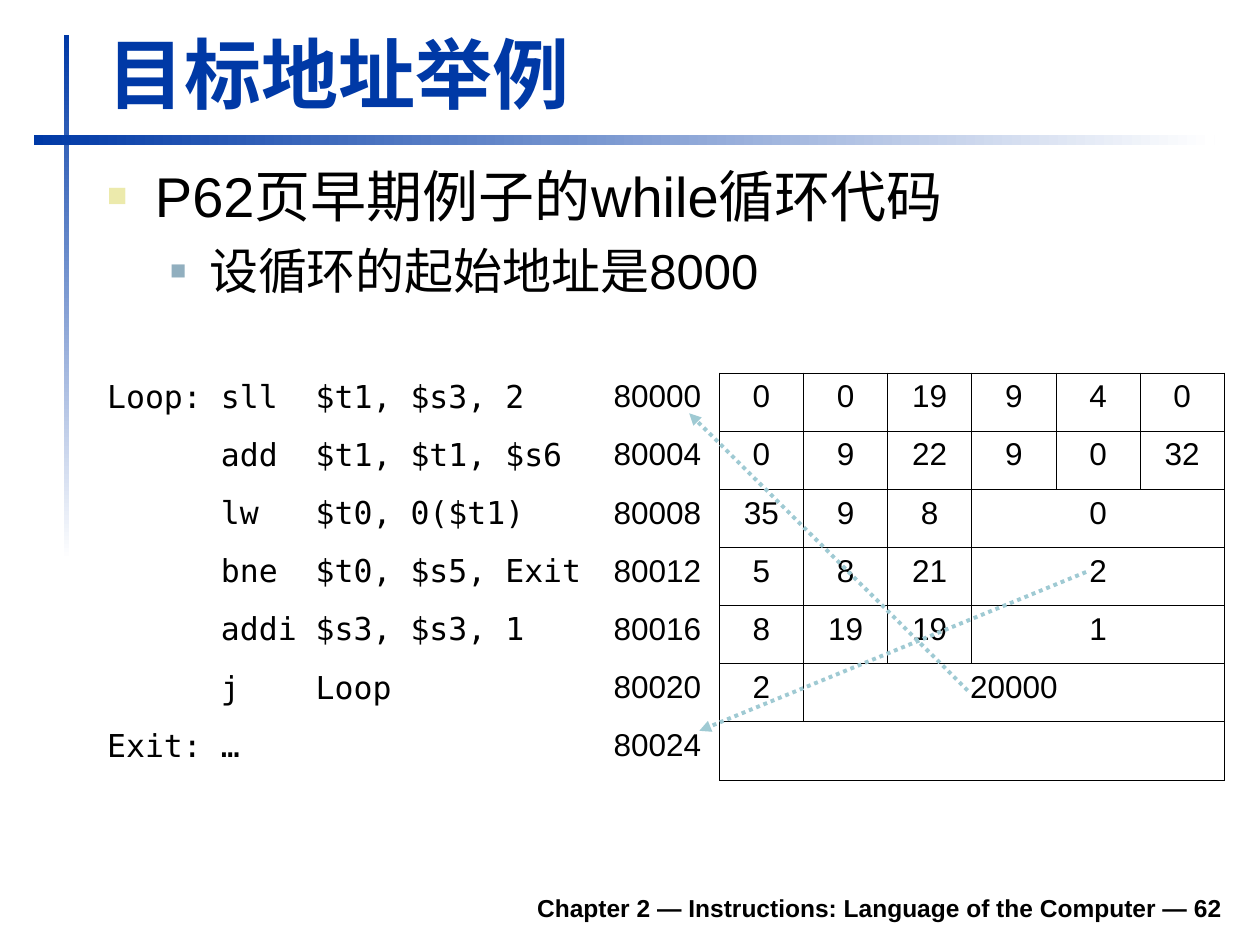
import pptx
import pptx.util
import pptx.dml.color
import pptx.enum.dml
import pptx.enum.shapes
import pptx.enum.text
import pptx.oxml
import pptx.oxml.ns

WIDTH, HEIGHT = pptx.util.Inches(10), pptx.util.Inches(7.5)
COLUMN, ROW = WIDTH / 100, HEIGHT / 75

BLUE = pptx.dml.color.RGBColor(0x00, 0x39, 0xA6)
WHITE = pptx.dml.color.RGBColor(0xFF, 0xFF, 0xFF)
BLACK = pptx.dml.color.RGBColor(0x00, 0x00, 0x00)
CREAM = pptx.dml.color.RGBColor(0xEC, 0xEA, 0xAC)
STEEL = pptx.dml.color.RGBColor(0x91, 0xAF, 0xBF)
TEAL = pptx.dml.color.RGBColor(0x9F, 0xCA, 0xD3)

ALIGN = pptx.enum.text.PP_ALIGN
ANCHOR = pptx.enum.text.MSO_ANCHOR

TITLE = dict(name="Arial", size=pptx.util.Pt(44), bold=True)
TOPIC = dict(name="Arial", size=pptx.util.Pt(32))
DETAIL = dict(name="Arial", size=pptx.util.Pt(28))
FOOTER = dict(name="Arial", size=pptx.util.Pt(14), bold=True)
NUMBER = dict(name="Arial", size=pptx.util.Pt(18))
CODE = dict(name="DejaVu Sans Mono", size=pptx.util.Pt(18))

BULLETS = [
    ("P62页早期例子的while循环代码", TOPIC, 0, 0.38, -0.38, CREAM, 60),
    ("设循环的起始地址是8000", DETAIL, 1, 0.81, -0.31, STEEL, 55),
]
FIRST_ADDRESS = 80000
PROGRAM = [
    ("Loop: sll  $t1, $s3, 2", [0, 0, 19, 9, 4, 0]),
    ("      add  $t1, $t1, $s6", [0, 9, 22, 9, 0, 32]),
    ("      lw   $t0, 0($t1)", [35, 9, 8, 0]),
    ("      bne  $t0, $s5, Exit", [5, 8, 21, 2]),
    ("      addi $s3, $s3, 1", [8, 19, 19, 1]),
    ("      j    Loop", [2, 20000]),
    ("Exit: …", [""]),
]
TABLE_COLUMNS = [40.2, 9.4] + [6.68] * 6
LAST_COLUMN = len(TABLE_COLUMNS) - 1


def grid(left, top, width, height):
    return [round(n * unit) for n, unit in
            zip((left, top, width, height), (COLUMN, ROW, COLUMN, ROW))]


def place(box, area):
    box.left, box.top, box.width, box.height = grid(*area)


def add_element(parent, tag, **values):
    element = pptx.oxml.parse_xml(f"<a:{tag} {pptx.oxml.ns.nsdecls('a')}/>")
    for key, value in values.items():
        element.set(key, str(value))
    parent.append(element)
    return element


def write(para, text, style, color=BLACK, align=ALIGN.LEFT):
    para.alignment = align
    span = para.add_run()
    span.text = text
    for key, value in style.items():
        setattr(span.font, key, value)
    span.font.color.rgb = color


def add_gradient_bar(page, area, angle):
    bar = page.shapes.add_shape(
        pptx.enum.shapes.MSO_SHAPE.RECTANGLE, *grid(*area))
    bar.shadow.inherit = False
    bar.line.fill.background()
    bar.fill.gradient()
    bar.fill.gradient_angle = angle
    for stop, color in zip(bar.fill.gradient_stops, (BLUE, WHITE)):
        stop.color.rgb = color


def fill_title(page):
    title = page.shapes.title
    place(title, (7.5, 1.5, 90.3, 8.4))
    title.text_frame.vertical_anchor = ANCHOR.BOTTOM
    title.text_frame.auto_size = pptx.enum.text.MSO_AUTO_SIZE.NONE
    write(title.text_frame.paragraphs[0], "目标地址举例", TITLE, BLUE)


def fill_bullets(page):
    body = page.placeholders[1]
    place(body, (7.5, 12.3, 90.4, 13.4))
    frame = body.text_frame
    frame.auto_size = pptx.enum.text.MSO_AUTO_SIZE.NONE
    for i, (text, style, level, margin, indent, color, size) in enumerate(BULLETS):
        para = frame.add_paragraph() if i else frame.paragraphs[0]
        para.level = level
        properties = para._p.get_or_add_pPr()
        properties.set("marL", str(pptx.util.Inches(margin)))
        properties.set("indent", str(pptx.util.Inches(indent)))
        add_element(add_element(properties, "buClr"), "srgbClr", val=color)
        add_element(properties, "buSzPct", val=size * 1000)
        add_element(properties, "buFont", typeface="Arial")
        add_element(properties, "buChar", char="■")
        para.space_before = pptx.util.Pt(7 if i else 0)
        write(para, text, style)


def add_footer(page):
    box = page.shapes.add_textbox(*grid(18.5, 69.8, 79.5, 3.9))
    box.text_frame.word_wrap = True
    box.text_frame.vertical_anchor = ANCHOR.BOTTOM
    write(box.text_frame.paragraphs[0],
          "Chapter 2 — Instructions: Language of the Computer — 62",
          FOOTER, align=ALIGN.RIGHT)


def set_borders(cell, colors):
    properties = cell._tc.get_or_add_tcPr()
    for side, color in zip("LRTB", colors):
        line = add_element(properties, f"ln{side}", w=pptx.util.Pt(0.45))
        add_element(add_element(line, "solidFill"), "srgbClr", val=color)
    cell.fill.background()


def add_code_table(page):
    table = page.shapes.add_table(
        len(PROGRAM), len(TABLE_COLUMNS), *grid(7.5, 29.6, 89.7, 32.3)).table
    table.first_row = table.horz_banding = False
    for column, width in zip(table.columns, TABLE_COLUMNS):
        column.width = round(width * COLUMN)
    for r, (code, fields) in enumerate(PROGRAM):
        for c in range(len(TABLE_COLUMNS)):
            borders = {0: [WHITE] * 4, 1: [WHITE, BLACK, WHITE, WHITE]}
            set_borders(table.cell(r, c), borders.get(c, [BLACK] * 4))
        last_field = len(fields) + 1
        if last_field < LAST_COLUMN:
            table.cell(r, last_field).merge(table.cell(r, LAST_COLUMN))
        for c, value in enumerate([code, FIRST_ADDRESS + 4 * r] + fields):
            para = table.cell(r, c).text_frame.paragraphs[0]
            write(para, str(value), NUMBER if c else CODE,
                  align=ALIGN.CENTER if c > 1 else ALIGN.LEFT)


def add_jump_arrow(page, start, end):
    arrow = page.shapes.add_connector(
        pptx.enum.shapes.MSO_CONNECTOR.STRAIGHT, *grid(*start, *end))
    arrow.line.color.rgb = TEAL
    arrow.line.width = pptx.util.Pt(2.25)
    arrow.line.dash_style = pptx.enum.dml.MSO_LINE.ROUND_DOT
    add_element(arrow.line._get_or_add_ln(), "tailEnd", type="triangle")
    add_element(arrow._element.spPr, "effectLst")


def main():
    deck = pptx.Presentation()
    deck.slide_width, deck.slide_height = WIDTH, HEIGHT
    page = deck.slides.add_slide(deck.slide_layouts[1])
    add_gradient_bar(page, (5.1, 2.8, 0.4, 41.7), 270)
    add_gradient_bar(page, (2.7, 10.7, 93.7, 0.8), 0)
    add_footer(page)
    fill_title(page)
    fill_bullets(page)
    add_code_table(page)
    add_jump_arrow(page, (76.8, 54.8), (54.7, 32.8))
    add_jump_arrow(page, (86.2, 45.4), (55.5, 58))
    deck.save("out.pptx")


if __name__ == "__main__":
    main()
